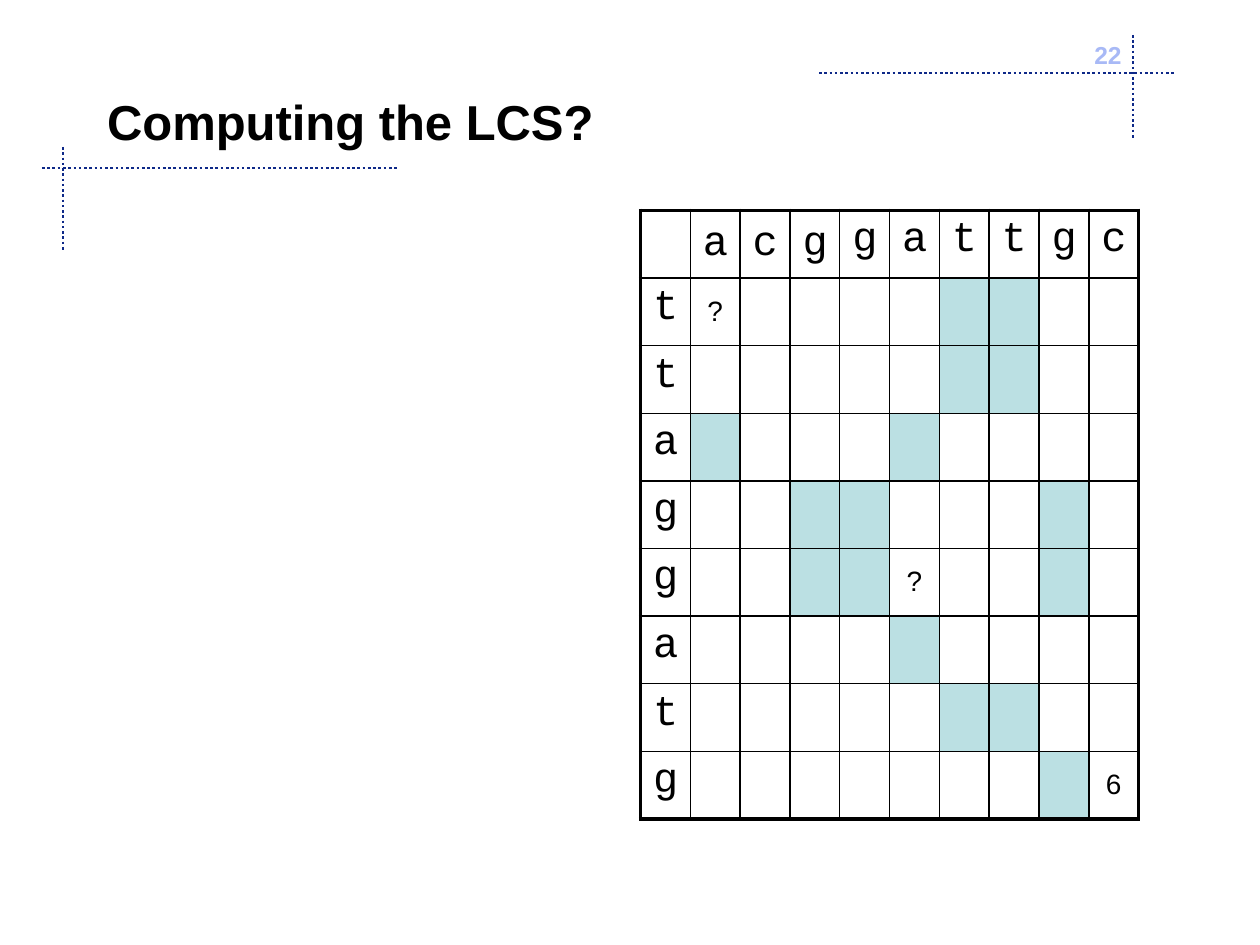
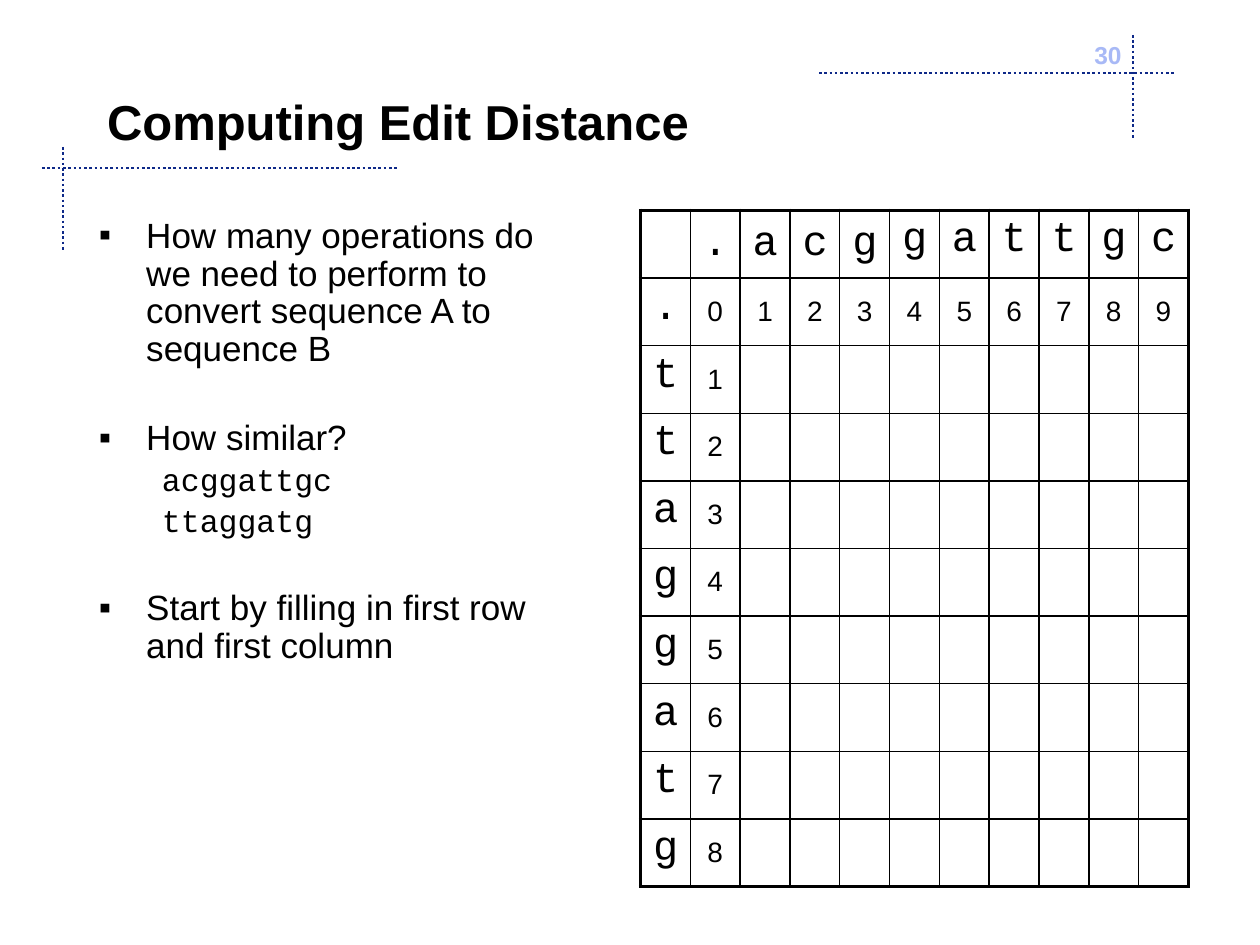
"""Build two slides on filling in sequence alignment tables."""
from dataclasses import dataclass, field

from lxml import etree
from pptx import Presentation
from pptx.dml.color import RGBColor
from pptx.enum.dml import MSO_LINE
from pptx.enum.shapes import MSO_CONNECTOR
from pptx.enum.text import MSO_ANCHOR, PP_ALIGN
from pptx.oxml.ns import qn
from pptx.util import Pt

LEFT, CENTER, RIGHT = PP_ALIGN.LEFT, PP_ALIGN.CENTER, PP_ALIGN.RIGHT
TOP, MIDDLE = MSO_ANCHOR.TOP, MSO_ANCHOR.MIDDLE
STRAIGHT = MSO_CONNECTOR.STRAIGHT
DOTTED = MSO_LINE.ROUND_DOT
TITLE_ONLY = 5


@dataclass(frozen=True)
class Theme:
    ink: str = "000000"
    rule: str = "0E2988"
    number: str = "A8B9F6"
    match: str = "BBE0E3"
    sans: str = "Arial"
    mono: str = "Courier New"
    title_size: float = 28
    letter_size: float = 24
    body_size: float = 20
    sequence_size: float = 18
    score_size: float = 16
    number_size: float = 14
    rule_width: float = 1.5
    outer_border: float = 2.25
    inner_border: float = 1


@dataclass(frozen=True)
class Rule:
    x1: float
    y1: float
    x2: float
    y2: float


@dataclass(frozen=True)
class Point:
    text: str
    space_before: float = 0
    is_sequence: bool = False


@dataclass(frozen=True)
class Grid:
    across: str
    down: str
    middle_heads: int
    scores: dict[tuple[int, int], str]
    matches: set[tuple[int, int]] = field(default_factory=set)


THEME = Theme()
CROSSHAIRS = [
    Rule(24, 96, 228, 96),
    Rule(36, 84, 36, 144),
    Rule(647.5, 20, 647.5, 80),
    Rule(468, 41.75, 672, 41.75),
]
GRID_LEFT, GRID_TOP = 366, 120.25
COLUMN_WIDTH, ROW_HEIGHT = 28.47, 38.64
SCORE_INSET = 3.6
BULLET_INDENT, SEQUENCE_INDENT = 27, 36
BULLET_GAP = 29.4

SEQUENCE_A, SEQUENCE_B = "acggattgc", "ttaggatg"
UNMARKED = {(6, 1), (8, 3), (8, 4)}
MATCHES = {
    (row, column)
    for row, b in enumerate(SEQUENCE_B, 1)
    for column, a in enumerate(SEQUENCE_A, 1)
    if a == b
} - UNMARKED
LCS_GRID = Grid(
    SEQUENCE_A, SEQUENCE_B, 3,
    {(1, 1): "?", (5, 5): "?", (8, 9): "6"}, MATCHES,
)
FIRST_ROW = {(1, n + 1): str(n) for n in range(len(SEQUENCE_A) + 1)}
FIRST_COLUMN = {(n + 1, 1): str(n) for n in range(len(SEQUENCE_B) + 1)}
EDIT_GRID = Grid("." + SEQUENCE_A, "." + SEQUENCE_B, 4, FIRST_ROW | FIRST_COLUMN)
EDIT_POINTS = [
    Point("How many operations do we need to perform to convert sequence A to sequence B"),
    Point("How similar?", BULLET_GAP),
    Point(SEQUENCE_A, 3.6, True),
    Point(SEQUENCE_B, 3.6, True),
    Point("Start by filling in first row and first column", BULLET_GAP),
]


def write_text(paragraph, text: str, *, size: float, font: str = THEME.sans,
               color: str = THEME.ink, bold: bool = False, align=LEFT) -> None:
    """Add one formatted run to a paragraph."""
    paragraph.alignment = align
    run = paragraph.add_run()
    run.text = text
    run.font.size = Pt(size)
    run.font.name = font
    run.font.bold = bold
    run.font.color.rgb = RGBColor.from_string(color)


def add_rule(slide, rule: Rule) -> None:
    """Draw one dotted line of the slide frame."""
    line = slide.shapes.add_connector(
        STRAIGHT, Pt(rule.x1), Pt(rule.y1), Pt(rule.x2), Pt(rule.y2))
    line.line.color.rgb = RGBColor.from_string(THEME.rule)
    line.line.width = Pt(THEME.rule_width)
    line.line.dash_style = DOTTED
    etree.SubElement(line.element.spPr, qn("a:effectLst"))


def add_text_frame(slide, left: float, top: float, width: float, height: float):
    """Add a wrapping text box and return its frame."""
    frame = slide.shapes.add_textbox(Pt(left), Pt(top), Pt(width), Pt(height)).text_frame
    frame.word_wrap = True
    return frame


def start_slide(deck, title: str, number: int):
    """Add a slide with the shared frame, page number and title."""
    slide = deck.slides.add_slide(deck.slide_layouts[TITLE_ONLY])
    for rule in CROSSHAIRS:
        add_rule(slide, rule)
    page = add_text_frame(slide, 498, 19.5, 150, 36)
    write_text(page.paragraphs[0], str(number), size=THEME.number_size,
               color=THEME.number, bold=True, align=RIGHT)
    heading = slide.shapes.title
    heading.left, heading.top, heading.width, heading.height = Pt(54), Pt(24), Pt(582), Pt(90)
    heading.text_frame.vertical_anchor = MIDDLE
    write_text(heading.text_frame.paragraphs[0], title, size=THEME.title_size, bold=True)
    return slide


def set_indent(paragraph, margin: float, first_line: float, bullet: str = "") -> None:
    """Set the indents of a paragraph and its optional bullet."""
    properties = paragraph._p.get_or_add_pPr()
    properties.set("marL", str(Pt(margin)))
    properties.set("indent", str(Pt(first_line)))
    if bullet:
        etree.SubElement(properties, qn("a:buFont"), typeface=THEME.sans)
        etree.SubElement(properties, qn("a:buChar"), char=bullet)


def add_points(slide, points: list[Point]) -> None:
    """Write the bulleted points with their sequences."""
    frame = add_text_frame(slide, 49.5, 121, 285, 372)
    for index, point in enumerate(points):
        paragraph = frame.add_paragraph() if index else frame.paragraphs[0]
        if point.is_sequence:
            set_indent(paragraph, SEQUENCE_INDENT, 0)
        else:
            set_indent(paragraph, BULLET_INDENT, -BULLET_INDENT, "▪")
        paragraph.line_spacing = 0.9
        if point.space_before:
            paragraph.space_before = Pt(point.space_before)
        write_text(paragraph, point.text,
                   size=THEME.sequence_size if point.is_sequence else THEME.body_size,
                   font=THEME.mono if point.is_sequence else THEME.sans)


def set_borders(cell, outer_sides: dict[str, bool]) -> None:
    """Draw cell borders, heavier on the sides that edge the table."""
    properties = cell._tc.get_or_add_tcPr()
    for side, is_outer in outer_sides.items():
        width = THEME.outer_border if is_outer else THEME.inner_border
        border = etree.SubElement(properties, qn(f"a:ln{side}"), w=str(Pt(width)))
        fill = etree.SubElement(border, qn("a:solidFill"))
        etree.SubElement(fill, qn("a:srgbClr"), val=THEME.ink)


def fill_cell(cell, grid: Grid, row: int, column: int) -> None:
    """Fill one grid cell with its colour and its letter or score."""
    if (row, column) in grid.matches:
        cell.fill.solid()
        cell.fill.fore_color.rgb = RGBColor.from_string(THEME.match)
    else:
        cell.fill.background()
    paragraph = cell.text_frame.paragraphs[0]
    score = grid.scores.get((row, column))
    if score:
        cell.vertical_anchor = MIDDLE
        cell.margin_left = cell.margin_right = Pt(SCORE_INSET)
        cell.margin_top = cell.margin_bottom = Pt(SCORE_INSET)
        write_text(paragraph, score, size=THEME.score_size, align=CENTER)
    elif (row == 0) != (column == 0):
        letter = grid.across[column - 1] if row == 0 else grid.down[row - 1]
        is_middle = row == 0 and column <= grid.middle_heads
        cell.vertical_anchor = MIDDLE if is_middle else TOP
        write_text(paragraph, letter, size=THEME.letter_size, font=THEME.mono)


def add_grid(slide, grid: Grid) -> None:
    """Add the alignment table of two sequences."""
    rows, columns = len(grid.down) + 1, len(grid.across) + 1
    table = slide.shapes.add_table(
        rows, columns, Pt(GRID_LEFT), Pt(GRID_TOP),
        Pt(columns * COLUMN_WIDTH), Pt(rows * ROW_HEIGHT)).table
    table.first_row = table.horz_banding = False
    for table_column in table.columns:
        table_column.width = Pt(COLUMN_WIDTH)
    for table_row in table.rows:
        table_row.height = Pt(ROW_HEIGHT)
    for row in range(rows):
        for column in range(columns):
            cell = table.cell(row, column)
            set_borders(cell, {"L": column == 0, "R": column == columns - 1,
                               "T": row == 0, "B": row == rows - 1})
            fill_cell(cell, grid, row, column)


def main() -> None:
    """Build and save the deck."""
    deck = Presentation()
    deck.slide_width, deck.slide_height = Pt(720), Pt(540)
    lcs = start_slide(deck, "Computing the LCS?", 22)
    add_grid(lcs, LCS_GRID)
    edit_distance = start_slide(deck, "Computing Edit Distance", 30)
    add_points(edit_distance, EDIT_POINTS)
    add_grid(edit_distance, EDIT_GRID)
    deck.save("out.pptx")


if __name__ == "__main__":
    main()
